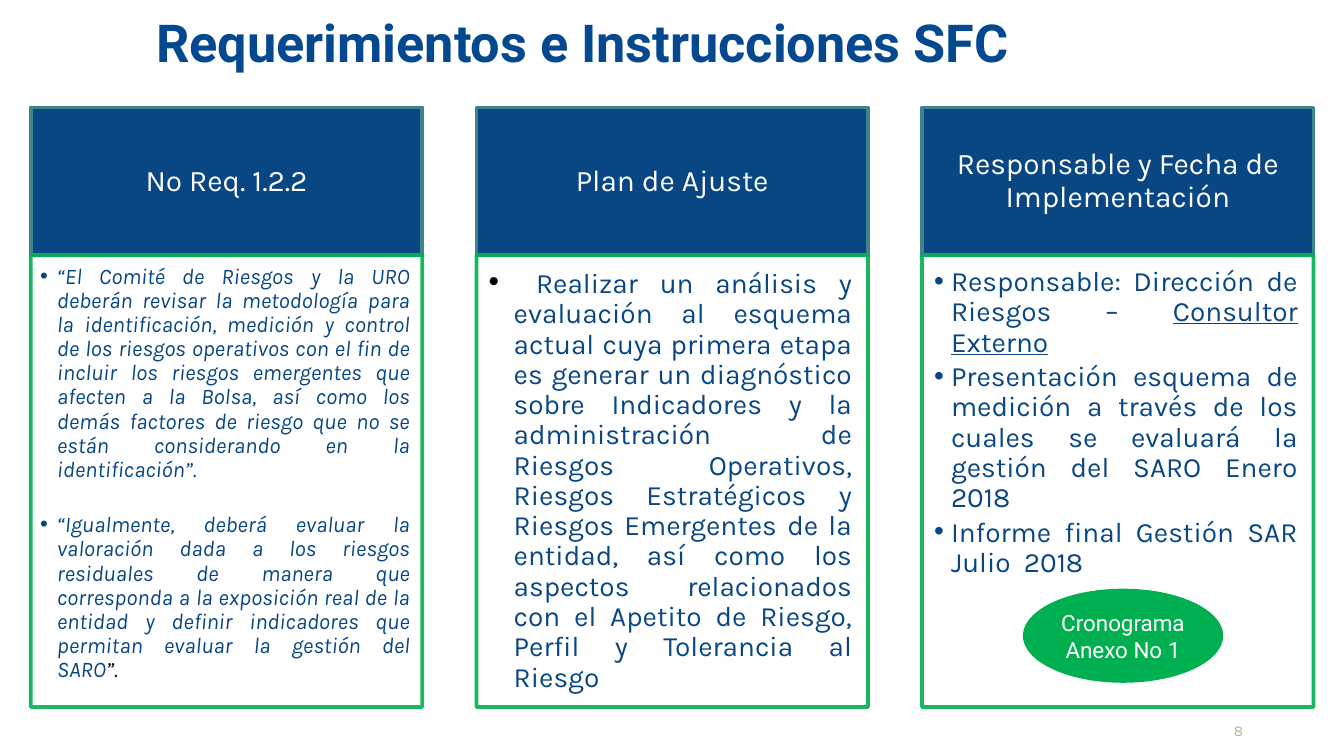
from lxml import etree
from pptx import Presentation
from pptx.dml.color import RGBColor
from pptx.enum.shapes import MSO_SHAPE as Shape
from pptx.enum.text import MSO_ANCHOR as Anchor, MSO_AUTO_SIZE as AutoSize, PP_ALIGN as Align
from pptx.oxml.ns import qn
from pptx.util import Pt

# Content: each paragraph is a list of (text, run overrides)
COLORS = {"navy": "094784", "title": "044990", "teal": "3C8689", "green": "00B050",
          "white": "FFFFFF", "black": "000000", "number": "BCB296"}
TITLE = "Requerimientos e Instrucciones SFC"
COLUMNS = [
    {"header": "No Req. 1.2.2", "size": 12, "italic": True, "indent": 9,
     "gap": 16.6, "insets": (5, 5, 6.5, 7), "paragraphs": [
        [("“El Comité de Riesgos y la URO deberán revisar la metodología para la "
          "identificación, medición y control de los riesgos operativos con el fin de "
          "incluir los riesgos emergentes que afecten a la Bolsa, así como los demás "
          "factores de riesgo que no se están considerando en la identificación”.", {})],
        [("“Igualmente, deberá evaluar la valoración dada a los riesgos residuales de "
          "manera que corresponda a la exposición real de la entidad y definir "
          "indicadores que permitan evaluar la gestión del SARO", {}),
         ("”.", {"color": "black"})]]},
    {"header": "Plan de Ajuste", "size": 15, "italic": False, "indent": 13.5,
     "gap": 2.25, "insets": (6.5, 6.5, 8.5, 10), "paragraphs": [
        [(" ", {"color": "black", "size": 16}),
         ("Realizar un análisis y evaluación al esquema actual cuya primera etapa es "
          "generar un diagnóstico sobre Indicadores y la administración de Riesgos "
          "Operativos, Riesgos Estratégicos y Riesgos Emergentes de la entidad, así como "
          "los aspectos relacionados con el Apetito de Riesgo, Perfil y Tolerancia al "
          "Riesgo", {})]]},
    {"header": "Responsable y Fecha de Implementación", "size": 15, "italic": False,
     "indent": 9, "gap": 2.25, "insets": (6.5, 6.5, 8.5, 9.5), "paragraphs": [
        [("Responsable: Dirección de Riesgos – ", {}),
         ("Consultor Externo", {"underline": True})],
        [("Presentación esquema de medición a través de los cuales se evaluará la "
          "gestión del SARO Enero 2018", {})],
        [("Informe final Gestión SAR Julio  2018", {})]]},
]
BADGE = ["Cronograma", "Anexo No 1"]
SLIDE_NUMBER = "8"

# Column grid
LEFT, PITCH, WIDTH = 16.5, 238.75, 209.75
HEADER_TOP, HEADER_HEIGHT, BODY_HEIGHT = 57.6, 79.2, 242


def rgb(name):
    return RGBColor.from_string(COLORS[name])


def set_font(font, name, size, color, bold=None, italic=None):
    font.name, font.size, font.bold, font.italic = name, Pt(size), bold, italic
    font.color.rgb = rgb(color)


def set_frame(frame, insets, anchor, wrap=True):
    frame.margin_left, frame.margin_top, frame.margin_right, frame.margin_bottom = map(Pt, insets)
    frame.vertical_anchor, frame.word_wrap, frame.auto_size = anchor, wrap, AutoSize.NONE


def add_box(kind, box, fill=None, line=None):
    shape = slide.shapes.add_shape(kind, *map(Pt, box))
    shape.shadow.inherit = False
    if fill:
        shape.fill.solid()
        shape.fill.fore_color.rgb = rgb(fill)
    else:
        shape.fill.background()
    if line:
        shape.line.color.rgb = rgb(line)
        shape.line.width = Pt(2)
    else:
        shape.line.fill.background()
    return shape


def add_bullet(paragraph, indent):
    properties = paragraph._p.get_or_add_pPr()
    properties.set("marL", str(Pt(indent)))
    properties.set("indent", str(-Pt(indent)))
    etree.SubElement(properties, qn("a:buFont"), typeface="Arial")
    etree.SubElement(properties, qn("a:buChar"), char="•")


def next_paragraph(frame, index):
    return frame.paragraphs[0] if index == 0 else frame.add_paragraph()


presentation = Presentation()
presentation.slide_width, presentation.slide_height = Pt(720), Pt(405)
slide = presentation.slides.add_slide(presentation.slide_layouts[5])

# Title
title = slide.shapes.title
title.left, title.top, title.width, title.height = Pt(18), Pt(10.8), Pt(588), Pt(21)
set_frame(title.text_frame, (0, 0, 0, 0), Anchor.TOP)
title.text_frame.text = TITLE
paragraph = title.text_frame.paragraphs[0]
paragraph.alignment, paragraph.line_spacing = Align.CENTER, 0.85
set_font(paragraph.font, "Roboto", 28, "title", bold=True)

# Columns: header above bulleted body
for number, column in enumerate(COLUMNS):
    left = LEFT + number * PITCH
    header = add_box(Shape.RECTANGLE, (left, HEADER_TOP, WIDTH, HEADER_HEIGHT), "navy", "teal")
    set_frame(header.text_frame, (8.5, 5, 8.5, 5), Anchor.MIDDLE)
    paragraph = header.text_frame.paragraphs[0]
    paragraph.text = column["header"]
    paragraph.alignment, paragraph.line_spacing = Align.CENTER, 0.9
    set_font(paragraph.font, "Karla", 16, "white")

    body = add_box(Shape.RECTANGLE, (left, HEADER_TOP + HEADER_HEIGHT, WIDTH, BODY_HEIGHT),
                   line="green")
    line_color = body.line._ln.find(".//" + qn("a:srgbClr"))
    etree.SubElement(line_color, qn("a:alpha"), val="90000")
    set_frame(body.text_frame, column["insets"], Anchor.TOP)
    for index, runs in enumerate(column["paragraphs"]):
        paragraph = next_paragraph(body.text_frame, index)
        paragraph.alignment, paragraph.level = Align.JUSTIFY, 1
        paragraph.line_spacing, paragraph.space_after = 0.9, Pt(column["gap"])
        add_bullet(paragraph, column["indent"])
        set_font(paragraph.font, "Karla", column["size"], "navy", italic=column["italic"])
        for text, style in runs:
            run = paragraph.add_run()
            run.text = text
            set_font(run.font, "Karla", style.get("size", column["size"]),
                     style.get("color", "navy"), italic=column["italic"])
            run.font.underline = style.get("underline")

# Schedule badge
badge = add_box(Shape.OVAL, (548, 315.4, 107.3, 50.4), "green")
set_frame(badge.text_frame, (18, 18, 18, 18), Anchor.MIDDLE, wrap=False)
for index, text in enumerate(BADGE):
    paragraph = next_paragraph(badge.text_frame, index)
    paragraph.text, paragraph.alignment = text, Align.CENTER
    set_font(paragraph.font, "Roboto", 12, "white")

# Slide number
number_box = slide.shapes.add_textbox(Pt(643), Pt(386.6), Pt(23), Pt(9.4))
set_frame(number_box.text_frame, (0, 0, 0, 0), Anchor.BOTTOM)
paragraph = number_box.text_frame.paragraphs[0]
paragraph.text, paragraph.alignment = SLIDE_NUMBER, Align.RIGHT
set_font(paragraph.font, "Karla", 8, "number")

presentation.save("out.pptx")
